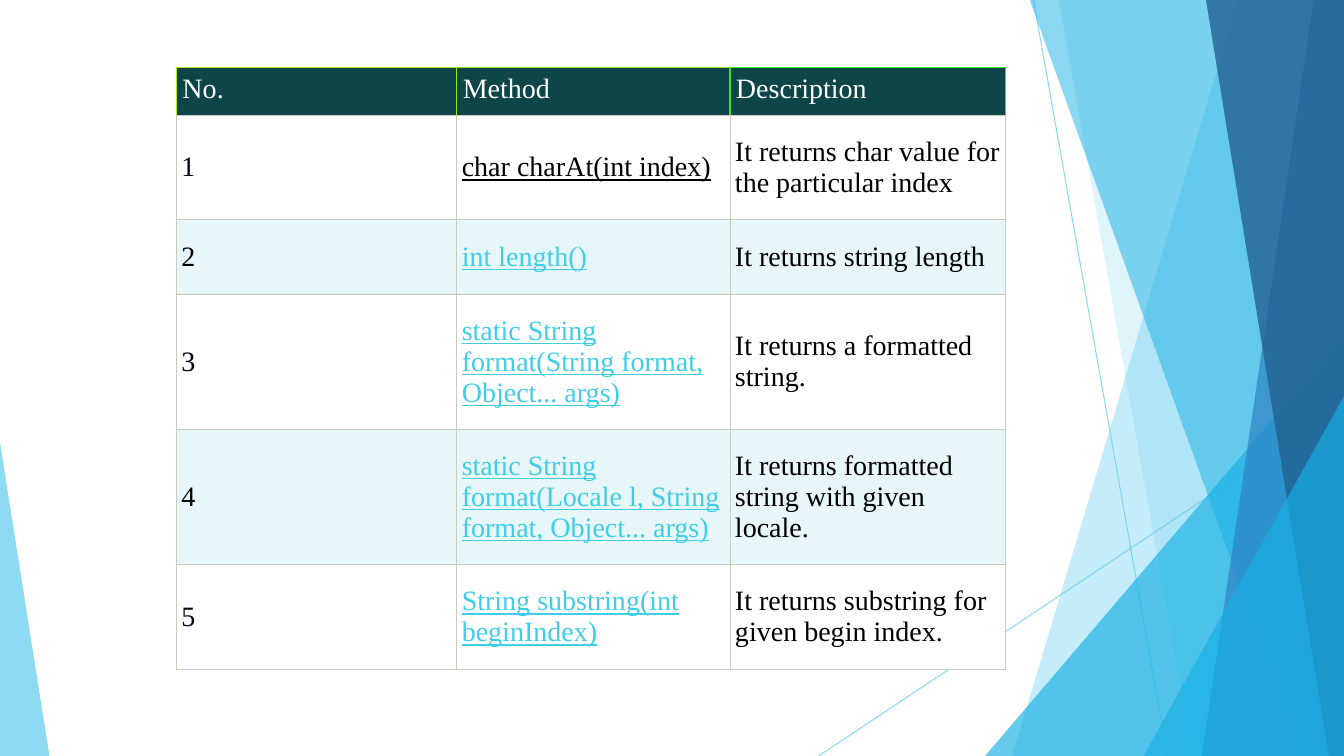
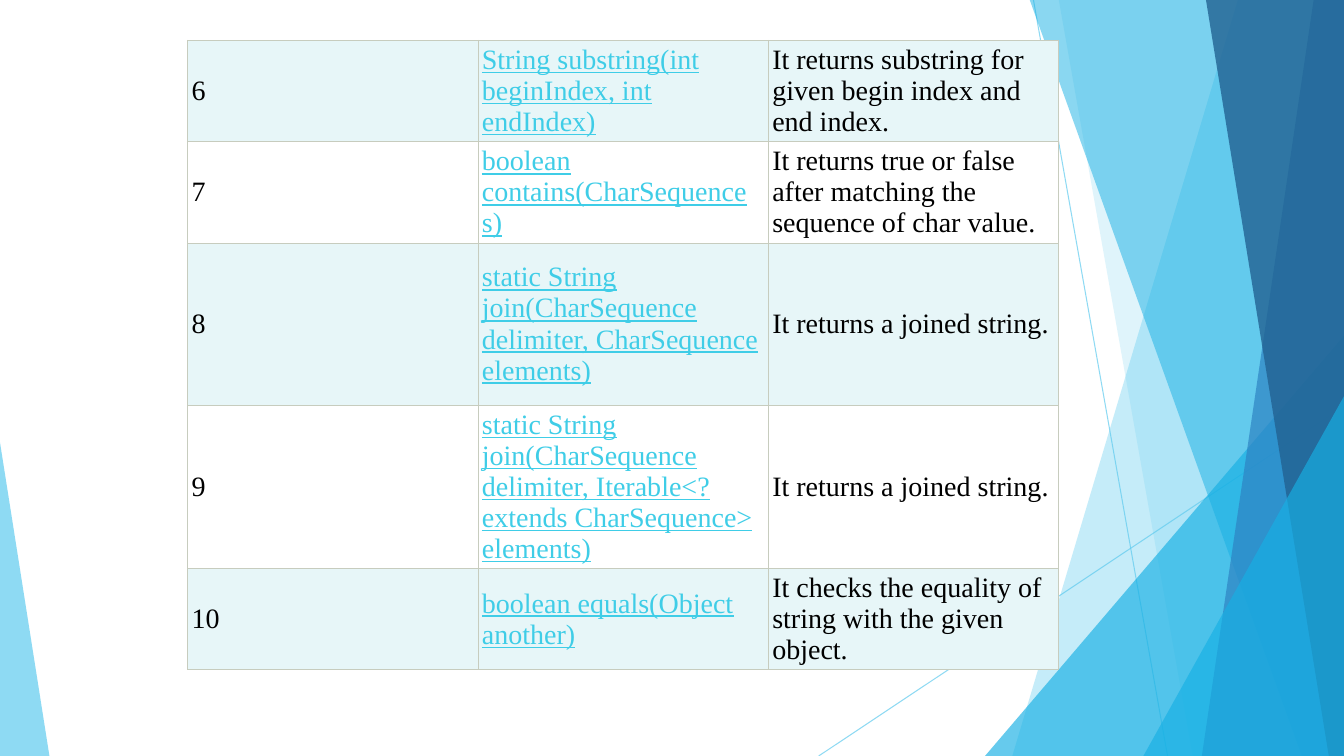
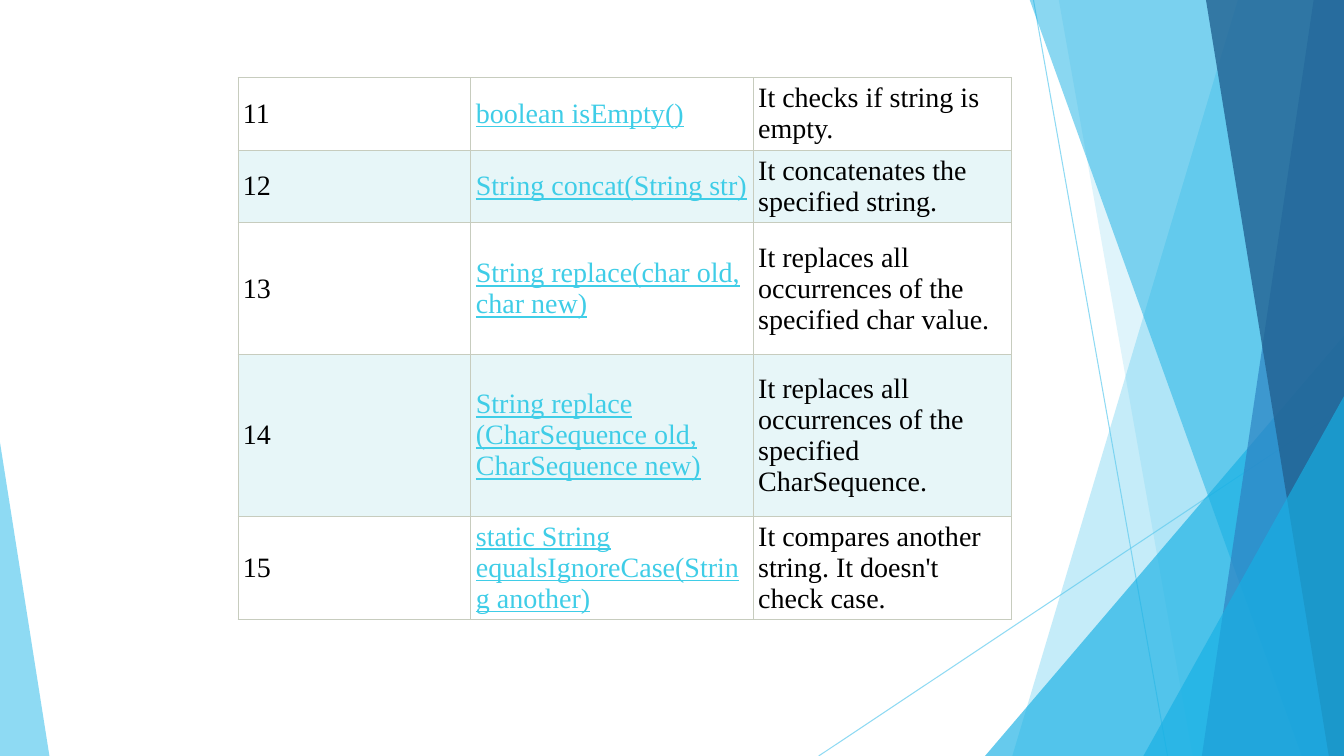
from lxml import etree
from pptx import Presentation
from pptx.dml.color import RGBColor
from pptx.enum import shapes, text
from pptx.oxml import ns
from pptx.util import Inches, Pt

FONT = "Times New Roman"
TEXT_SIZE = 20
COLOURS = {
    "sky": "5FCBEF", "cyan": "17B0E4", "blue": "2E83C3", "navy": "226292",
    "header": "0D4549", "white": "FFFFFF", "tint": "E7F6F8", "black": "000000",
    "link": "3FCDE7", "grid": "C7CCBE",
}
HEADER_EDGES = ["B0E61A", "90E71A", "30E91A", "30E91A"]

# Content: one table per slide, each row is number, method, description
HEADER = ("No.", "Method", "Description")
BLACK_METHODS = {"char charAt(int index)"}
TABLES = [
    {"at": (1.75, 0.67), "cols": [2.78, 2.71, 2.73], "inset": 0.05,
     "heights": [0.47, 1.04, 0.74, 1.34, 1.34, 1.04],
     "rows": [
         HEADER,
         ("1", "char charAt(int index)", "It returns char value for the particular index"),
         ("2", "int length()", "It returns string length"),
         ("3", "static String format(String format, Object... args)",
          "It returns a formatted string."),
         ("4", "static String format(Locale l, String format, Object... args)",
          "It returns formatted string with given locale."),
         ("5", "String substring(int beginIndex)",
          "It returns substring for given begin index."),
     ]},
    {"at": (1.86, 0.4), "cols": [2.88, 2.88, 2.88], "inset": 0.04,
     "heights": [0.99, 0.99, 1.61, 1.61, 0.99],
     "rows": [
         ("6", "String substring(int beginIndex, int endIndex)",
          "It returns substring for given begin index and end index."),
         ("7", "boolean contains(CharSequence s)",
          "It returns true or false after matching the sequence of char value."),
         ("8", "static String join(CharSequence delimiter, CharSequence elements)",
          "It returns a joined string."),
         ("9", "static String join(CharSequence delimiter, "
               "Iterable<? extends CharSequence> elements)",
          "It returns a joined string."),
         ("10", "boolean equals(Object another)",
          "It checks the equality of string with the given object."),
     ]},
    {"at": (2.36, 0.77), "cols": [2.31, 2.8, 2.56], "inset": 0.05,
     "heights": [0.72, 0.72, 1.31, 1.6, 1.01],
     "rows": [
         ("11", "boolean isEmpty()", "It checks if string is empty."),
         ("12", "String concat(String str)", "It concatenates the specified string."),
         ("13", "String replace(char old, char new)",
          "It replaces all occurrences of the specified char value."),
         ("14", "String replace\n(CharSequence old, CharSequence new)",
          "It replaces all occurrences of the specified CharSequence."),
         ("15", "static String equalsIgnoreCase(String another)",
          "It compares another string. It doesn't check case."),
     ]},
]

# Shared backdrop, back to front
WIDTH, HEIGHT, TOP = 13.33, 7.5, -0.01
RAYS = [((10.25, 0), (11.58, HEIGHT)), ((WIDTH, 4.03), (8.12, HEIGHT))]
# Bands reach the right edge: top-left x, bottom-left x, colour, opacity
# Triangles: left, top, width, apex position, colour, opacity
FACETS = [
    ("band", 12.28, 10.04, "sky", 36),
    ("band", 10.5, 11.83, "sky", 20),
    ("triangle", 9.77, 3.33, 3.56, 1, "cyan", 66),
    ("band", 10.21, 12.91, "cyan", 50),
    ("band", 13.03, 11.92, "blue", 70),
    ("band", 11.96, 13.18, "navy", 80),
    ("triangle", 11.34, 3.93, 1.99, 1, "cyan", 66),
    ("triangle", 0, 4.39, 0.49, 0, "sky", 70),
]


def rgb(name):
    return RGBColor.from_string(COLOURS[name])


def set_opacity(shape, percent):
    for colour in shape.element.xpath(".//a:srgbClr"):
        etree.SubElement(colour, ns.qn("a:alpha"), val=str(percent * 1000))


def add_ray(slide, start, end):
    ends = [Inches(value) for value in start + end]
    ray = slide.shapes.add_connector(shapes.MSO_CONNECTOR.STRAIGHT, *ends)
    ray.line.color.rgb = rgb("sky")
    ray.line.width = Pt(0.75)
    set_opacity(ray, 70)
    etree.SubElement(ray.element.spPr, ns.qn("a:effectLst"))
    return ray


def add_band(slide, top_x, bottom_x):
    corners = [(Inches(x), Inches(y)) for x, y in
               [(top_x, TOP), (WIDTH, TOP), (WIDTH, HEIGHT), (bottom_x, HEIGHT)]]
    outline = slide.shapes.build_freeform(*corners[0])
    outline.add_line_segments(corners[1:], close=True)
    return outline.convert_to_shape()


def add_triangle(slide, left, top, width, apex):
    box = [Inches(value) for value in (left, top, width, HEIGHT - top)]
    triangle = slide.shapes.add_shape(shapes.MSO_SHAPE.ISOSCELES_TRIANGLE, *box)
    triangle.adjustments[0] = apex
    return triangle


def add_facet(slide, kind, *details):
    *geometry, colour, opacity = details
    draw = add_band if kind == "band" else add_triangle
    facet = draw(slide, *geometry)
    facet.shadow.inherit = False
    facet.fill.solid()
    facet.fill.fore_color.rgb = rgb(colour)
    facet.line.fill.background()
    set_opacity(facet, opacity)
    return facet


def move_backdrop_to_layout(slide, layout):
    """Draw the backdrop once, then hand it to the layout all slides use."""
    backdrop = [add_ray(slide, *ray) for ray in RAYS]
    backdrop += [add_facet(slide, *facet) for facet in FACETS]
    for part in backdrop:
        layout.shapes.element.append(part.element)


def set_border(cell, side, colour, width):
    line = etree.SubElement(cell._tc.get_or_add_tcPr(), ns.qn("a:ln" + side),
                            w=str(Pt(width)))
    fill = etree.SubElement(line, ns.qn("a:solidFill"))
    etree.SubElement(fill, ns.qn("a:srgbClr"), val=colour)


def cell_style(row, column):
    """Return fill, text colour and underline; odd numbers white, even tinted."""
    if row is HEADER:
        return "header", "white", False
    fill = "white" if int(row[0]) % 2 else "tint"
    is_method = column == 1
    is_link = is_method and row[1] not in BLACK_METHODS
    return fill, "link" if is_link else "black", is_method


def fill_cell(cell, row, column, inset):
    is_header = row is HEADER
    fill, colour, underline = cell_style(row, column)

    # Borders come before the fill in the cell properties
    edges = {}
    if is_header:
        edges = {"L": HEADER_EDGES[column], "R": HEADER_EDGES[column + 1],
                 "T": HEADER_EDGES[column]}
    for side in "LRTB":
        set_border(cell, side, edges.get(side, COLOURS["grid"]), 1 if side in edges else 0.6)
    cell.fill.solid()
    cell.fill.fore_color.rgb = rgb(fill)

    margin = Inches(0.06 if is_header else inset)
    cell.margin_left = cell.margin_right = margin
    cell.margin_top = cell.margin_bottom = margin
    cell.vertical_anchor = text.MSO_ANCHOR.TOP if is_header else text.MSO_ANCHOR.MIDDLE

    cell.text_frame.text = row[column]
    for paragraph in cell.text_frame.paragraphs:
        for run in paragraph.runs:
            run.font.name = FONT
            run.font.size = Pt(TEXT_SIZE)
            run.font.underline = underline
            run.font.color.rgb = rgb(colour)


def add_method_table(slide, at, cols, inset, heights, rows):
    box = [Inches(value) for value in (*at, sum(cols), sum(heights))]
    table = slide.shapes.add_table(len(rows), len(cols), *box).table
    table.first_row = table.horz_banding = False
    for column, width in zip(table.columns, cols):
        column.width = Inches(width)
    for r, (row, height) in enumerate(zip(rows, heights)):
        table.rows[r].height = Inches(height)
        for c in range(len(cols)):
            fill_cell(table.cell(r, c), row, c, inset)


def main():
    deck = Presentation()
    deck.slide_width, deck.slide_height = Inches(WIDTH), Inches(HEIGHT)
    blank = deck.slide_layouts[6]
    slides = [deck.slides.add_slide(blank) for _ in TABLES]
    move_backdrop_to_layout(slides[0], blank)
    for slide, methods in zip(slides, TABLES):
        add_method_table(slide, **methods)
    deck.save("out.pptx")


if __name__ == "__main__":
    main()
